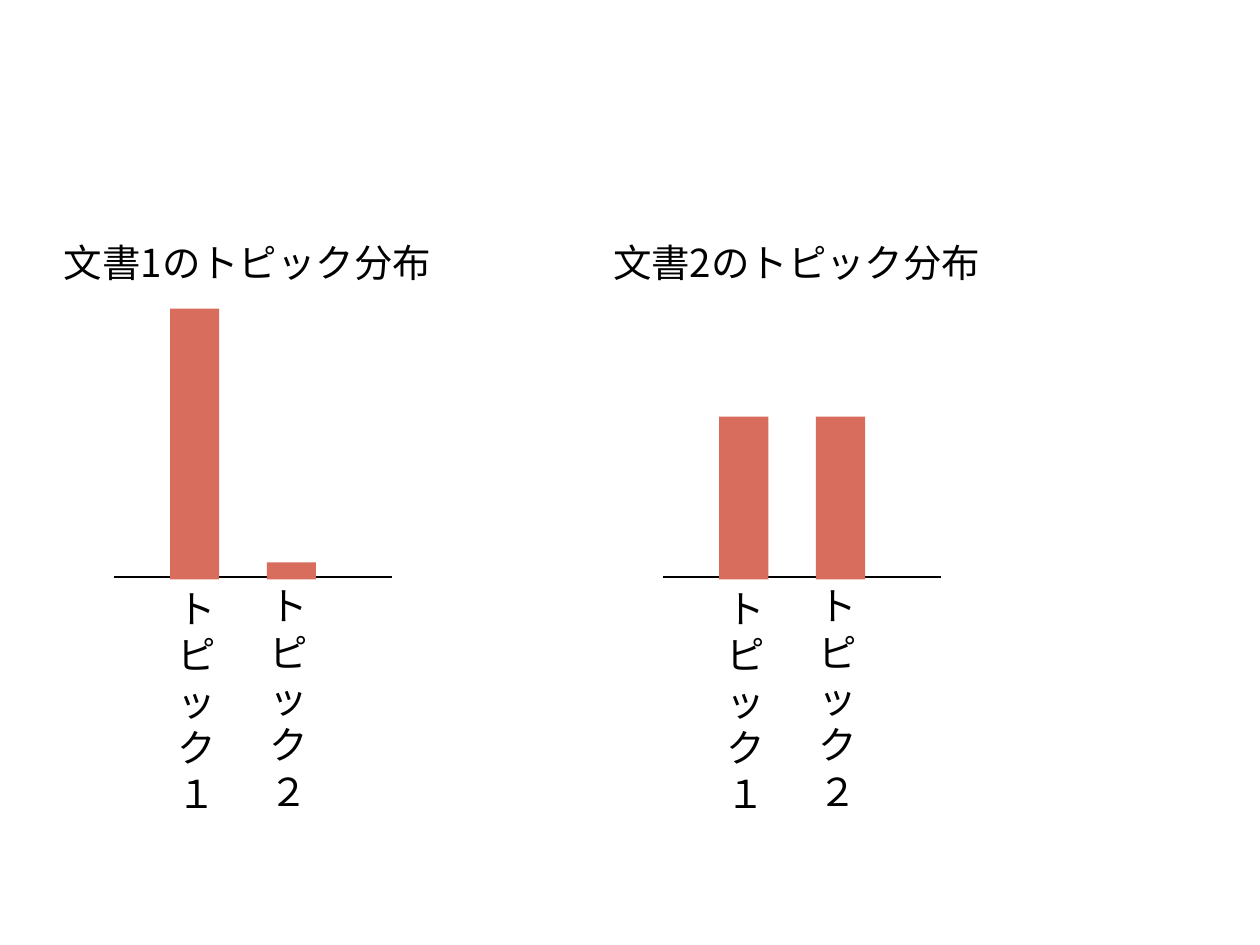
from lxml import etree
from pptx import Presentation
from pptx.dml.color import RGBColor
from pptx.enum.shapes import MSO_CONNECTOR, MSO_SHAPE
from pptx.oxml.ns import qn
from pptx.util import Cm, Pt

RECT = MSO_SHAPE.RECTANGLE
STRAIGHT = MSO_CONNECTOR.STRAIGHT

FONT = "Noto Sans CJK JP"
BLACK, RED = "000000", "D86C5D"

PANEL_LEFTS = (1.04, 12.11)
AXIS_Y, BAR_BOTTOM = 11.63, 11.68
BAR_OFFSET, BAR_WIDTH, BAR_STEP = 2.39, 0.99, 1.95
LABEL_OFFSET, LABEL_STEP = 2.29, 1.85
LABEL_TOPS = (11.66, 11.61)


def rgb(color):
    return RGBColor.from_string(color)


def add_text(s, text, x, y, w, h, size=22, color=BLACK, wrap=True, spacing=26.5):
    """Add a text box with one paragraph for each line of text."""
    tf = s.shapes.add_textbox(Cm(x), Cm(y), Cm(w), Cm(h)).text_frame
    tf.word_wrap = wrap
    tf.text = text
    for p in tf.paragraphs:
        p.line_spacing = Pt(spacing)
        for r in p.runs:
            r.font.size = Pt(size)
            r.font.name = FONT
            r.font.color.rgb = rgb(color)
            ea = etree.SubElement(r.font._element, qn("a:ea"))
            ea.set("typeface", FONT)


def add_bar(s, x, height):
    bar = s.shapes.add_shape(
        RECT, Cm(x), Cm(BAR_BOTTOM - height), Cm(BAR_WIDTH), Cm(height))
    bar.shadow.inherit = False
    bar.fill.solid()
    bar.fill.fore_color.rgb = rgb(RED)
    bar.line.fill.background()


def add_axis(s, x, width):
    axis = s.shapes.add_connector(
        STRAIGHT, Cm(x), Cm(AXIS_Y), Cm(x + width), Cm(AXIS_Y))
    axis.line.color.rgb = rgb(BLACK)
    axis.line.width = Pt(0.75)
    etree.SubElement(axis._element.spPr, qn("a:effectLst"))


def add_distribution(s, left, title, heights):
    """Draw one document's title, axis, topic bars and vertical labels."""
    add_axis(s, left + 1.25, 5.61)
    for i, height in enumerate(heights):
        add_bar(s, left + BAR_OFFSET + i * BAR_STEP, height)
        label = "\n".join("トピック" + "１２"[i])
        add_text(s, label, left + LABEL_OFFSET + i * LABEL_STEP,
                 LABEL_TOPS[i], 1.3, 4.95, wrap=False)
    add_text(s, title, left, 4.7, 8.08, 1.19)


def main():
    prs = Presentation()
    prs.slide_width, prs.slide_height = Cm(25.4), Cm(19.05)
    s = prs.slides.add_slide(prs.slide_layouts[6])
    documents = (("文書1のトピック分布", (5.46, 0.34)),
                 ("文書2のトピック分布", (3.28, 3.28)))
    for left, (title, heights) in zip(PANEL_LEFTS, documents):
        add_distribution(s, left, title, heights)
    prs.save("out.pptx")


if __name__ == "__main__":
    main()
